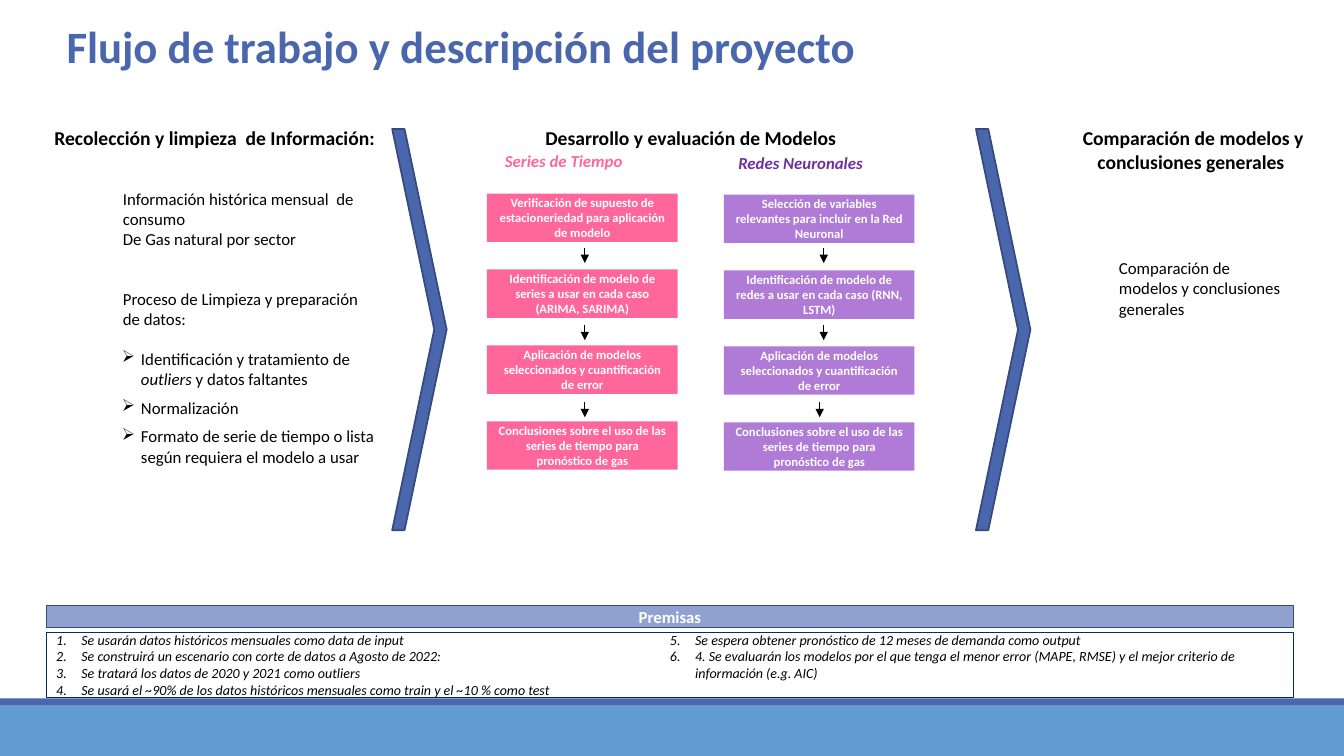
import pptx
import pptx.util
import pptx.dml.color
import pptx.enum.shapes
import pptx.enum.text
import pptx.oxml
import pptx.oxml.ns
from lxml import etree

Inches = pptx.util.Inches
Pt = pptx.util.Pt
RGBColor = pptx.dml.color.RGBColor
Shape = pptx.enum.shapes.MSO_SHAPE
Align = pptx.enum.text.PP_ALIGN
Anchor = pptx.enum.text.MSO_ANCHOR

BLUE = RGBColor(0x4A, 0x66, 0xAC)
DARK_BLUE = RGBColor(0x36, 0x4A, 0x7D)
LIGHT_BLUE = RGBColor(0x8F, 0xA1, 0xCF)
SKY = RGBColor(0x62, 0x9D, 0xD1)
NAVY = RGBColor(0x00, 0x30, 0x63)
PINK = RGBColor(0xFF, 0x66, 0x99)
PURPLE = RGBColor(0x70, 0x30, 0xA0)
LILAC = RGBColor(0xB0, 0x7B, 0xD7)
BLACK = RGBColor(0, 0, 0)
WHITE = RGBColor(0xFF, 0xFF, 0xFF)

TITLE = "Flujo de trabajo y descripción del proyecto"
LABELS = [
    ("Recolección y limpieza  de Información:", (0.42, 1.2, 3.42, 0.34), Align.CENTER,
     dict(size=14, bold=True)),
    ("Desarrollo y evaluación de Modelos", (5.31, 1.2, 3.11, 0.34), Align.LEFT,
     dict(size=14, bold=True)),
    ("Comparación de modelos y conclusiones generales ", (10.62, 1.2, 2.43, 0.57), Align.CENTER,
     dict(size=14, bold=True)),
    ("Series de Tiempo ", (4.82, 1.45, 1.58, 0.3), Align.CENTER,
     dict(size=12, color=PINK, bold=True, italic=True)),
    ("Redes Neuronales", (7.15, 1.47, 1.58, 0.3), Align.CENTER,
     dict(size=12, color=PURPLE, bold=True, italic=True)),
    ("Comparación de modelos y conclusiones generales", (11, 2.51, 1.84, 0.71), Align.LEFT,
     dict(size=12)),
]
COLLECTION = [
    ("Información histórica mensual  de consumo", 0, False),
    ("De Gas natural por sector", 0, False),
    ("Proceso de Limpieza y preparación de datos:", 28.6, False),
    ("Identificación y tratamiento de |outliers |y datos faltantes", 14, True),
    ("Normalización", 6, True),
    ("Formato de serie de tiempo o lista según requiera el modelo a usar", 6, True),
]
FLOWS = [
    (4.83, 1.92, PINK, (5.8, 5.8, 5.8), [
        "Verificación de supuesto de estacioneriedad para aplicación de modelo",
        "Identificación de modelo de series a usar en cada caso (ARIMA, SARIMA)",
        "Aplicación de modelos seleccionados y cuantificación de error",
        "Conclusiones sobre el uso de las series de tiempo para pronóstico de gas",
    ]),
    (7.18, 1.93, LILAC, (8.17, 8.17, 8.13), [
        "Selección de variables relevantes para incluir en la Red Neuronal",
        "Identificación de modelo de redes a usar en cada caso (RNN, LSTM)",
        "Aplicación de modelos seleccionados y cuantificación de error",
        "Conclusiones sobre el uso de las series de tiempo para pronóstico de gas",
    ]),
]
PREMISES = [
    "Se usarán datos históricos mensuales como data de input",
    "Se construirá un escenario con corte de datos a Agosto de 2022:",
    "Se tratará los datos de 2020 y 2021 como outliers",
    "Se usará el ~90% de los datos históricos mensuales como train y el ~10 % como test",
    "Se espera obtener pronóstico de 12 meses de demanda como output",
    "4. Se evaluarán los modelos por el que tenga el menor error (MAPE, RMSE) "
    "y el mejor criterio de información (e.g. AIC)",
]
STEP_SIZE = (1.89, 0.48)
STEP_PITCH = 2.26 / 3
ARROW_TOP, ARROW_PITCH, ARROW_LENGTH = 2.46, 0.765, 0.15


def style(paragraph, size, color=BLACK, bold=False, italic=False):
    """Format every run of a paragraph."""
    for run in paragraph.runs:
        run.font.name = "Calibri"
        run.font.size = Pt(size)
        run.font.color.rgb = color
        run.font.bold = bold
        run.font.italic = italic


def set_indent(paragraph, margin, hanging=0, **bullet_elements):
    """Indent a paragraph and add its bullet elements."""
    properties = paragraph._p.get_or_add_pPr()
    properties.set("marL", str(Inches(margin)))
    properties.set("indent", str(-Inches(hanging)))
    for tag, attributes in bullet_elements.items():
        etree.SubElement(properties, pptx.oxml.ns.qn("a:" + tag), attributes)


def add_box(slide, kind, place, fill=None, line=None, line_width=0.75):
    """Add a flat preset shape."""
    shape = slide.shapes.add_shape(kind, *map(Inches, place))
    shape.shadow.inherit = False
    if fill is None:
        shape.fill.background()
    else:
        shape.fill.solid()
        shape.fill.fore_color.rgb = fill
    if line is None:
        shape.line.fill.background()
    else:
        shape.line.color.rgb = line
        shape.line.width = Pt(line_width)
    shape.text_frame.word_wrap = True
    shape.text_frame.vertical_anchor = Anchor.MIDDLE
    return shape


def write(shape, text, align, **font):
    """Put one formatted paragraph in a shape."""
    shape.text_frame.text = text
    paragraph = shape.text_frame.paragraphs[0]
    paragraph.alignment = align
    style(paragraph, **font)


def add_text_box(slide, place):
    """Add a wrapping text box."""
    box = slide.shapes.add_textbox(*map(Inches, place))
    box.text_frame.word_wrap = True
    return box


def add_arrow(slide, x, top):
    """Add a short downward arrow."""
    arrow = slide.shapes.add_connector(
        pptx.enum.shapes.MSO_CONNECTOR.STRAIGHT,
        Inches(x), Inches(top), Inches(x), Inches(top + ARROW_LENGTH))
    arrow.line.color.rgb = BLACK
    arrow.line.width = Pt(1)
    tail = etree.SubElement(arrow.line._get_or_add_ln(), pptx.oxml.ns.qn("a:tailEnd"))
    tail.set("type", "triangle")
    etree.SubElement(arrow._element.spPr, pptx.oxml.ns.qn("a:effectLst"))


def add_collection(slide):
    """Add the data collection text with its bullets."""
    frame = add_text_box(slide, (0.72, 1.82, 3.11, 2.9)).text_frame
    for index, (text, space, bulleted) in enumerate(COLLECTION):
        paragraph = frame.paragraphs[0] if index == 0 else frame.add_paragraph()
        if bulleted:
            set_indent(paragraph, 0.58, 0.19,
                       buFont={"typeface": "Wingdings", "pitchFamily": "2", "charset": "2"},
                       buChar={"char": "Ø"})
        else:
            set_indent(paragraph, 0.4)
        if space:
            paragraph.space_before = Pt(space)
        for part in text.split("|"):
            paragraph.add_run().text = part
        style(paragraph, 12)
        if len(paragraph.runs) > 1:
            paragraph.runs[1].font.italic = True


def add_premises(slide):
    """Add the premises heading and its numbered two-column list."""
    heading = add_box(slide, Shape.RECTANGLE, (0.46, 6.01, 12.37, 0.22), LIGHT_BLUE, DARK_BLUE)
    write(heading, "Premisas", Align.CENTER, size=12, color=WHITE, bold=True)
    frame = add_box(slide, Shape.RECTANGLE, (0.46, 6.27, 12.37, 0.65), line=NAVY).text_frame
    frame._txBody.bodyPr.set("numCol", "2")
    frame.text = "\n".join(PREMISES)
    for paragraph in frame.paragraphs:
        set_indent(paragraph, 0.25, 0.25, buAutoNum={"type": "arabicPeriod"})
        paragraph.alignment = Align.LEFT
        style(paragraph, 10, italic=True)


def main():
    """Build the workflow slide."""
    presentation = pptx.Presentation()
    presentation.slide_width, presentation.slide_height = Inches(13.33), Inches(7.5)
    slide = presentation.slides.add_slide(presentation.slide_layouts[5])
    add_box(slide, Shape.RECTANGLE, (0, 7, 13.33, 0.5), SKY)
    add_box(slide, Shape.RECTANGLE, (0, 6.93, 13.33, 0.07), BLUE)

    title = slide.shapes.title
    title.left, title.top, title.width, title.height = map(Inches, (0.56, 0.22, 12.75, 1.1))
    write(title, TITLE, Align.LEFT, size=32, color=BLUE, bold=True)
    title.text_frame.vertical_anchor = Anchor.TOP
    title.text_frame.paragraphs[0].line_spacing = 0.85

    add_premises(slide)
    for left in (3.89, 9.68):
        chevron = add_box(slide, Shape.CHEVRON, (left, 1.28, 0.54, 3.98), BLUE, DARK_BLUE, 1.25)
        chevron.adjustments[0] = 0.773
    add_collection(slide)
    for text, place, align, font in LABELS:
        write(add_text_box(slide, place), text, align, **font)
    for left, top, color, arrow_xs, steps in FLOWS:
        for row, text in enumerate(steps):
            step = add_box(slide, Shape.RECTANGLE,
                           (left, top + row * STEP_PITCH, *STEP_SIZE), color)
            write(step, text, Align.CENTER, size=9, color=WHITE, bold=True)
        for row, x in enumerate(arrow_xs):
            add_arrow(slide, x, ARROW_TOP + row * ARROW_PITCH)
    presentation.save("out.pptx")


if __name__ == "__main__":
    main()
